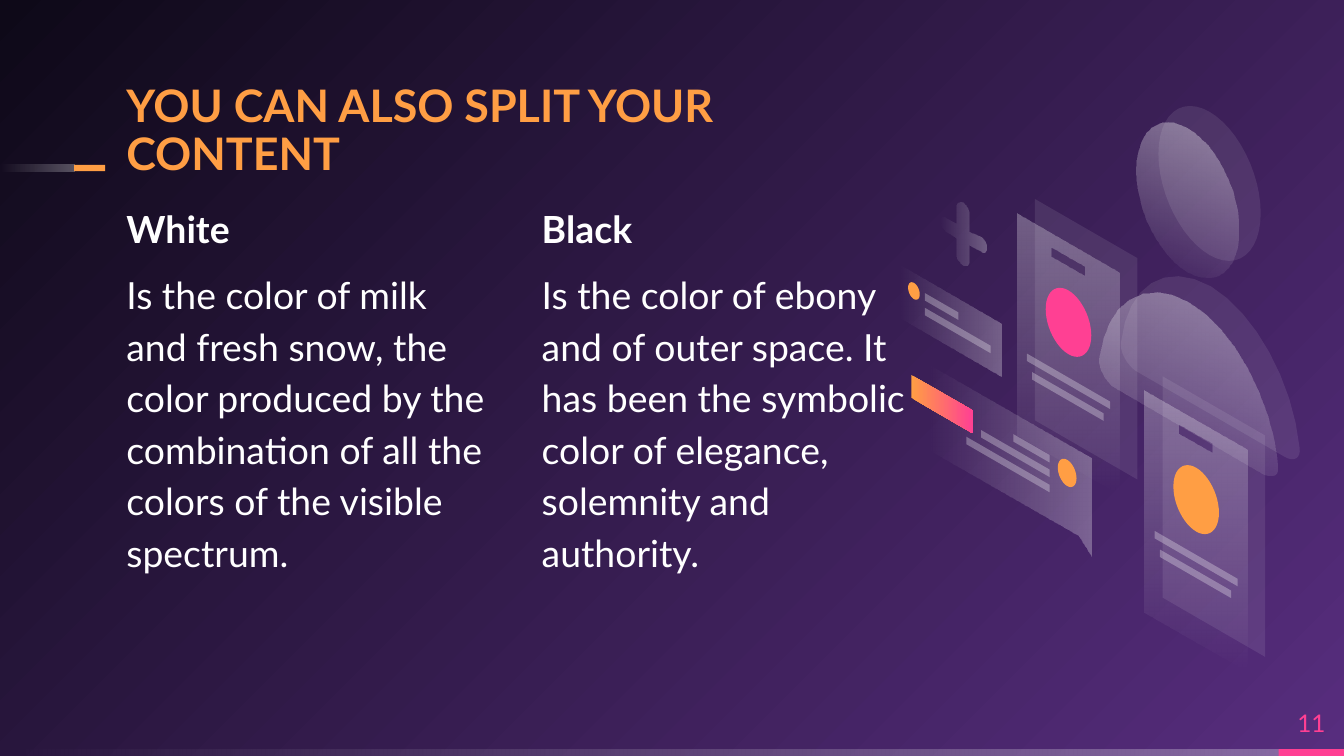
"""Build a two-column text slide with an isometric social media illustration."""
from math import cos, pi, radians, sin, tan

from pptx import Presentation
from pptx.dml.color import RGBColor
from pptx.enum.shapes import MSO_SHAPE
from pptx.enum.text import MSO_ANCHOR as Anchor, PP_ALIGN as Align
from pptx.oxml import parse_xml
from pptx.oxml.ns import nsdecls, qn
from pptx.util import Pt

COLORS = {"white": "FFFFFF", "orange": "FF9E44", "pink": "FF4093",
          "violet": "572D7E", "night": "0E0918"}
SLOPE = tan(radians(30))
FADE = [("white", 29), ("white", 0)]
LOOKS = {
    "backdrop": ([("violet", 100), ("night", 100)],
                 '<a:path path="circle"><a:fillToRect l="100000" t="100000"/></a:path>'),
    "faint": ([("white", 9)], ""),
    "text line": ([("white", 29)], ""),
    "orange": ([("orange", 100)], ""),
    "pink": ([("pink", 100)], ""),
    "fade left": (FADE, '<a:lin ang="10800000" scaled="0"/>'),
    "fade down": (FADE, '<a:lin ang="5400000" scaled="0"/>'),
    "person": ([("white", 40), ("white", 0)], '<a:lin ang="6600000" scaled="0"/>'),
    "ribbon": ([("orange", 100), ("pink", 100)], '<a:lin ang="0" scaled="0"/>'),
}


def paint(owner, fill, look):
    stops, direction = LOOKS[look]
    tints = [f'<a:srgbClr val="{COLORS[color]}"><a:alpha val="{alpha * 1000}"/></a:srgbClr>'
             for color, alpha in stops]
    if direction:
        marks = "".join(f'<a:gs pos="{i * 100000}">{tint}</a:gs>' for i, tint in enumerate(tints))
        xml = f'<a:gradFill {nsdecls("a")} rotWithShape="1"><a:gsLst>{marks}</a:gsLst>{direction}</a:gradFill>'
    else:
        xml = f'<a:solidFill {nsdecls("a")}>{tints[0]}</a:solidFill>'
    fill.solid()
    plain = owner.find(".//" + qn("a:solidFill"))
    plain.getparent().replace(plain, parse_xml(xml))


def slanted(x, y, width, height):
    drop = width * SLOPE
    return [(x, y), (x + width, y + drop), (x + width, y + drop + height), (x, y + height)]


prs = Presentation()
prs.slide_width, prs.slide_height = Pt(720), Pt(405)
slide = prs.slides.add_slide(prs.slide_layouts[6])
paint(slide.element, slide.background.fill, "backdrop")

for x, y, width, height, look in [(0, 401.3, 687, 3.7, "fade left"), (685, 401.3, 35, 3.7, "pink"),
                                  (0, 88.3, 40, 3.4, "fade left"), (39.8, 88.3, 16.6, 3.4, "orange")]:
    bar = slide.shapes.add_shape(MSO_SHAPE.RECTANGLE, Pt(x), Pt(y), Pt(width), Pt(height))
    bar.shadow.inherit = False
    bar.line.fill.background()
    paint(bar.element, bar.fill, look)

white_text = ("Is the color of milk and fresh snow, the color produced by the "
              "combination of all the colors of the visible spectrum.")
black_text = ("Is the color of ebony and of outer space. It has been the symbolic "
              "color of elegance, solemnity and authority.")
texts = [
    (67.7, 106.6, 195, 269, ["White", white_text], 20, "white", Anchor.TOP, Align.LEFT, 1.15),
    (67.7, 65.6, 417.6, 31, ["YOU CAN ALSO SPLIT YOUR CONTENT"], 24, "orange",
     Anchor.BOTTOM, Align.LEFT, 0.9),
    (290.2, 106.6, 195, 269, ["Black", black_text], 20, "white", Anchor.TOP, Align.LEFT, 1.15),
    (685, 373.7, 35, 27.4, ["11"], 13, "pink", Anchor.MIDDLE, Align.CENTER, 1.0),
]
for x, y, width, height, lines, size, color, anchor, align, spacing in texts:
    frame = slide.shapes.add_textbox(Pt(x), Pt(y), Pt(width), Pt(height)).text_frame
    frame.word_wrap = True
    frame.vertical_anchor = anchor
    frame.margin_left = frame.margin_top = frame.margin_right = frame.margin_bottom = 0
    frame.text = "\n".join(lines)
    for i, paragraph in enumerate(frame.paragraphs):
        paragraph.alignment = align
        paragraph.line_spacing = spacing
        if i:
            paragraph.space_before = paragraph.space_after = Pt(8)
        paragraph.font.name = "Lato"
        paragraph.font.size = Pt(size)
        paragraph.font.bold = i == 0 and size > 13
        paragraph.font.color.rgb = RGBColor.from_string(COLORS[color])

disc = [(cos(i * pi / 24), 1.4 * sin(i * pi / 24) + SLOPE * cos(i * pi / 24)) for i in range(48)]
torso = [(648.7, 153.4), (624.2, 139.7, 604.1, 152.6, 600.5, 183.6),
         (599.8, 188.6, 604.1, 195.8, 608.4, 198.7), (688.3, 244.8),
         (693.4, 247.7, 697, 245.5, 696.2, 239.8), (692.6, 204.5, 672.5, 167.8, 648.7, 153.4)]
bubble = [(584.6, 245.5), (497.5, 195.1), (497.5, 240.5), (577.4, 286.6), (584.6, 298.1)]
plus = [(516.2, 108.7), (517.7, 110.2, 519.1, 112.3, 519.1, 114.5), (519.1, 123.8), (525.6, 126.7),
        (527, 128.2, 528.5, 130.3, 528.5, 132.5), (528.5, 134.6, 527, 135.4, 525.6, 134.6),
        (519.1, 131), (519.1, 139.7), (519.1, 141.8, 517.7, 142.6, 516.2, 141.8),
        (514.1, 140.4, 512.6, 138.2, 512.6, 136.1), (512.6, 127.4), (506.9, 123.8),
        (505.4, 123.1, 504, 120.2, 504, 118.1), (504, 116.6, 505.4, 115.2, 506.9, 116.6),
        (512.6, 119.5), (512.6, 110.9), (512.6, 108.7, 514.1, 108, 516.2, 108.7)]

artwork = []
for dx, dy, look in [(0, 0, "faint"), (-11.7, 8.8, "person")]:
    shifted = [tuple(v + (dy if i % 2 else dx) for i, v in enumerate(step)) for step in torso]
    head = [(648 + dx + 27.4 * u, 98.3 + dy + 27.4 * v) for u, v in disc]
    artwork += [([shifted], look), ([head], look)]

artwork += [
    ([slanted(481.7, 141.8, 54.7, 28.1)], "fade left"),
    ([[(489.6 + 3.1 * u, 155.9 + 3.1 * v) for u, v in disc]], "orange"),
    ([slanted(495.4, 157, 18, 4)], "text line"),
    ([slanted(495.4, 164.9, 35.3, 4)], "text line"),
]
for x, y, portrait in [(613.4, 209.5, "orange"), (545, 114.5, "pink")]:
    artwork += [
        ([slanted(x + 9.4, y - 7.9, 54.9, 118.6)], "faint"),
        ([slanted(x, y, 54.9, 118.6), slanted(x + 18, y + 18, 18, 5)], "fade down"),
        ([slanted(x + 5.1, y + 74.9, 44.6, 4)], "text line"),
        ([slanted(x + 8, y + 84.9, 38.2, 4)], "text line"),
        ([[(x + 27.4 + 12.2 * u, y + 58.2 + 12.2 * v) for u, v in disc]], portrait),
    ]
artwork += [
    ([bubble], "fade left"),
    ([slanted(488.2, 200.9, 33, 12.2)], "ribbon"),
    ([slanted(542.9, 232.6, 19.4, 4)], "text line"),
    ([slanted(525.6, 230.4, 36.7, 4)], "text line"),
    ([slanted(517.7, 234, 44.6, 4)], "text line"),
    ([[(571.7 + 5 * u, 253.4 + 5 * v) for u, v in disc]], "orange"),
    ([plus], "fade left"),
]

for contours, look in artwork:
    builder = None
    for start, *steps in contours:
        points = [start]
        for step in steps:
            if len(step) == 2:
                points.append(step)
                continue
            (x0, y0), (x1, y1, x2, y2, x3, y3) = points[-1], step
            for t in [i / 8 for i in range(1, 9)]:
                a, b, c, d = (1 - t) ** 3, 3 * t * (1 - t) ** 2, 3 * t * t * (1 - t), t ** 3
                points.append((a * x0 + b * x1 + c * x2 + d * x3, a * y0 + b * y1 + c * y2 + d * y3))
        corners = [(Pt(x), Pt(y)) for x, y in points]
        if builder is None:
            builder = slide.shapes.build_freeform(*corners[0], scale=1.0)
        else:
            builder.move_to(*corners[0])
        builder.add_line_segments(corners[1:], close=True)
    piece = builder.convert_to_shape()
    piece.shadow.inherit = False
    piece.line.fill.background()
    paint(piece.element, piece.fill, look)

prs.save("out.pptx")
